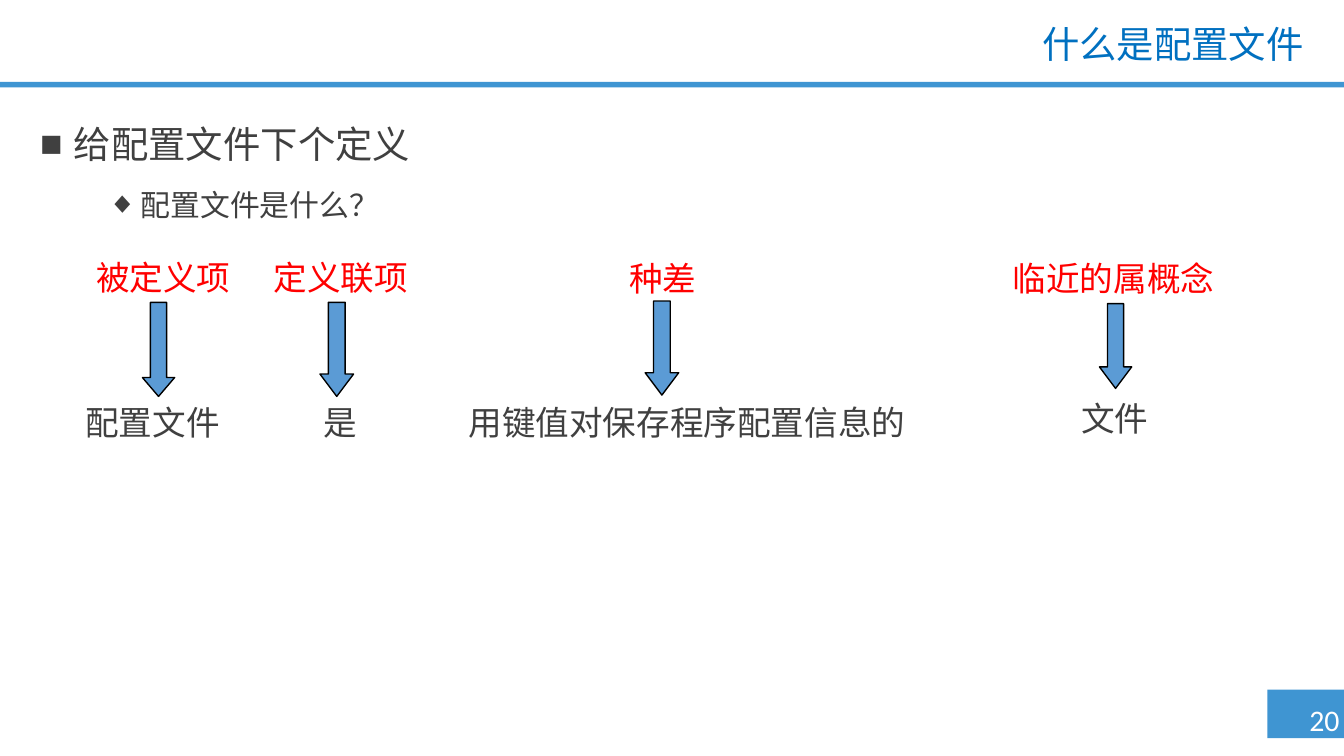
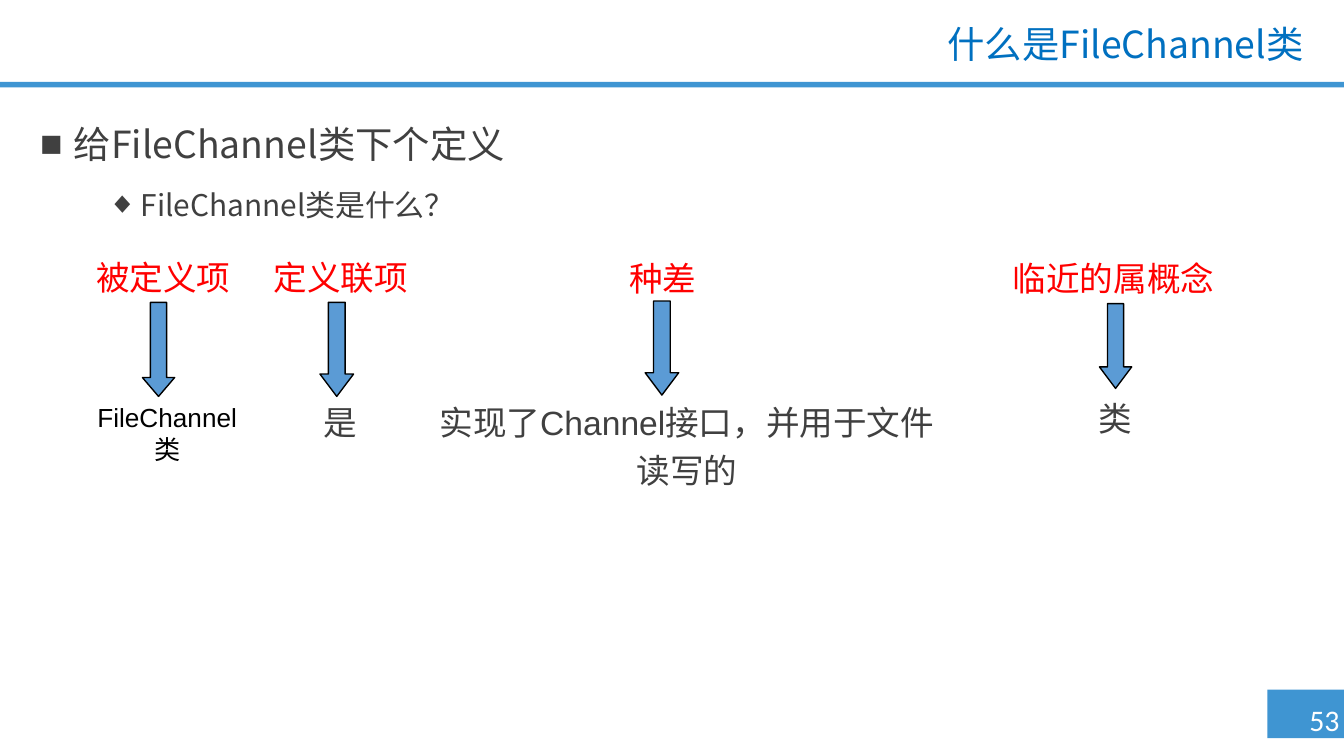
from lxml.etree import SubElement
from pptx import Presentation
from pptx.dml.color import RGBColor
from pptx.enum.shapes import MSO_SHAPE
from pptx.enum.text import MSO_AUTO_SIZE, PP_ALIGN
from pptx.oxml.ns import qn
from pptx.util import Pt

COLORS = {
    "band": "3F95D2", "title": "0070C0", "text": "404040", "label": "FF0000",
    "arrow": "5B9BD5", "black": "000000", "white": "FFFFFF",
}
CJK, LATO, ARIAL, CALIBRI = "Noto Sans CJK SC", "Lato", "Arial", "Calibri"

# Label, label box (left, top, width), arrow (left, top, width, height, head)
COLUMNS = [
    ("被定义项", (14.4, 133.9, 146.2), (76.3, 162, 17.3, 50.4, 0.585)),
    ("定义联项", (126.7, 133.9, 111.6), (171.4, 162, 18, 50.4, 0.665)),
    ("种差", (322.6, 134.6, 64.8), (345.6, 161.3, 18, 50.4, 0.665)),
    ("临近的属概念", (516.2, 134.6, 160.6), (589, 162.7, 17.3, 45.4, 0.667)),
]
LINK_BOX = (141.8, 211.7, 80.6, 28.8)
GENUS_BOX = (521.3, 209.5, 151.9, 28.8)

# Terms: lines, box (left, top, width, height), font, size, colour, line spacing
SLIDES = [
    {
        "page": "20 ",
        "title": [("什么是配置文件", LATO)],
        "points": ["给配置文件下个定义", "配置文件是什么？"],
        "terms": [
            (["配置文件"], (36.7, 211.7, 90, 28.8), CJK, 18, "text", None),
            (["是"], LINK_BOX, CJK, 18, "text", None),
            (["用键值对保存程序配置信息的"], (221.8, 207.4, 292.3, 31),
             ARIAL, 18, "text", 1.2),
            (["文件"], GENUS_BOX, CJK, 18, "text", None),
        ],
    },
    {
        "page": "53 ",
        "title": [("什么是FileChannel", CJK), ("类", LATO)],
        "points": ["给FileChannel类下个定义", "FileChannel类是什么？"],
        "terms": [
            (["FileChannel", "类"], (18.7, 211.7, 141.8, 58.3), ARIAL, 14, "black", None),
            (["是"], LINK_BOX, CJK, 18, "text", None),
            (["实现了Channel接口，并用于文件读写的"], (221.8, 207.4, 292.3, 56.9),
             ARIAL, 18, "text", 1.2),
            (["类"], GENUS_BOX, CJK, 18, "text", None),
        ],
    },
]
# Bullet, its font size, left margin, space before
LEVELS = [("■", 20, 18, 0), ("◆", 16, 54, 5)]
HANGING = 18


def rgb(name):
    return RGBColor.from_string(COLORS[name])


def add_run(p, text, font, size, color):
    r = p.add_run()
    r.text = text
    r.font.name, r.font.size = font, Pt(size)
    r.font.color.rgb = rgb(color)
    SubElement(r._r.get_or_add_rPr(), qn("a:ea")).set("typeface", CJK)


def add_text(s, box, lines, size, color, align=PP_ALIGN.CENTER, spacing=None,
             wrap=True):
    """Add a text box; each line is a list of (text, font) runs."""
    tf = s.shapes.add_textbox(*map(Pt, box)).text_frame
    tf.word_wrap = wrap
    tf.auto_size = MSO_AUTO_SIZE.SHAPE_TO_FIT_TEXT
    for i, line in enumerate(lines):
        p = tf.add_paragraph() if i else tf.paragraphs[0]
        p.alignment, p.line_spacing = align, spacing
        for text, font in line:
            add_run(p, text, font, size, color)


def add_shape(s, kind, box, fill, line=None):
    sp = s.shapes.add_shape(kind, *map(Pt, box))
    sp.shadow.inherit = False
    sp.fill.solid()
    sp.fill.fore_color.rgb = rgb(fill)
    if line:
        sp.line.color.rgb = rgb(line)
        sp.line.width = Pt(0.75)
    else:
        sp.line.fill.background()
    return sp


def add_frame(s, title, page):
    add_shape(s, MSO_SHAPE.RECTANGLE, (679, 369.4, 41, 26), "band")
    add_shape(s, MSO_SHAPE.RECTANGLE, (0, 43.9, 720, 2.9), "band")
    add_text(s, (692.6, 372.2, 37.4, 26.6), [[(page, CALIBRI)]], 16, "white", wrap=False)
    add_text(s, (172.8, 10.8, 532.8, 28.8), [title], 20, "title", PP_ALIGN.RIGHT, 0.9)


def add_points(s, points):
    tf = s.shapes.add_textbox(Pt(14.4), Pt(60.5), Pt(680.4), Pt(294.5)).text_frame
    tf.word_wrap = True
    for i, (text, (bullet, size, margin, before)) in enumerate(zip(points, LEVELS)):
        p = tf.add_paragraph() if i else tf.paragraphs[0]
        p.level = i
        p.line_spacing, p.space_before = Pt(25), Pt(before)
        pPr = p._p.get_or_add_pPr()
        pPr.set("marL", str(Pt(margin)))
        pPr.set("indent", str(-Pt(HANGING)))
        SubElement(pPr, qn("a:buFont")).set("typeface", ARIAL)
        SubElement(pPr, qn("a:buChar")).set("char", bullet)
        add_run(p, text, CJK, size, "text")


def add_definition(s, terms):
    """Each column: red label, down arrow, matching part of the definition."""
    for (label, label_box, arrow), term in zip(COLUMNS, terms):
        lines, box, font, size, color, spacing = term
        add_text(s, box, [[(text, font)] for text in lines], size, color, spacing=spacing)
        add_text(s, (*label_box, 28.8), [[(label, CJK)]], 18, "label")
        *arrow_box, head = arrow
        sp = add_shape(s, MSO_SHAPE.DOWN_ARROW, arrow_box, "arrow", "black")
        sp.adjustments[0], sp.adjustments[1] = 0.5, head


def main():
    prs = Presentation()
    prs.slide_width, prs.slide_height = Pt(720), Pt(405)
    for content in SLIDES:
        s = prs.slides.add_slide(prs.slide_layouts[6])
        add_frame(s, content["title"], content["page"])
        add_points(s, content["points"])
        add_definition(s, content["terms"])
    prs.save("out.pptx")


if __name__ == "__main__":
    main()
